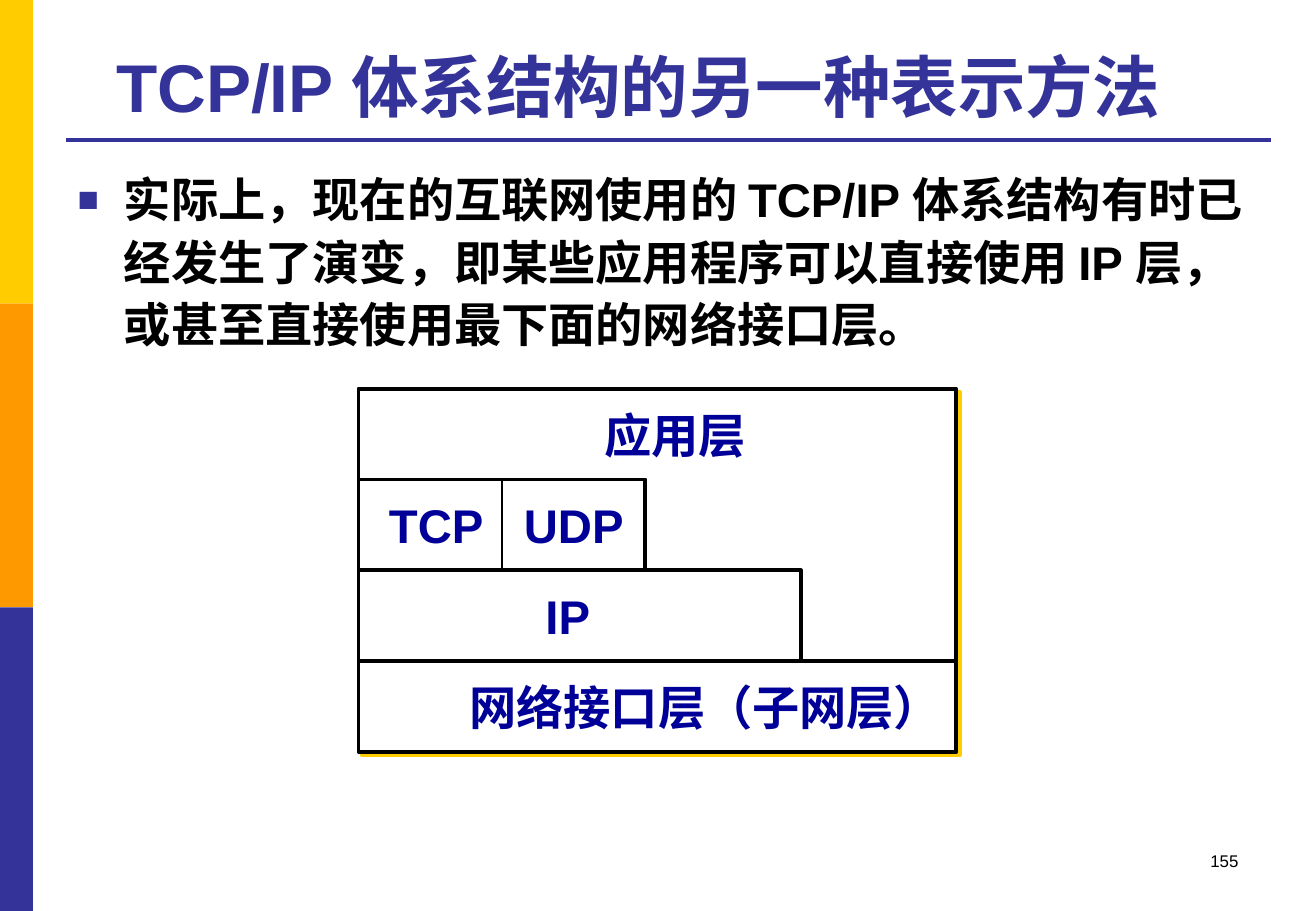
from dataclasses import dataclass

from lxml.etree import SubElement
from pptx import Presentation
from pptx.dml.color import RGBColor
from pptx.enum.shapes import MSO_CONNECTOR, MSO_SHAPE
from pptx.enum.text import MSO_ANCHOR, PP_ALIGN
from pptx.oxml.ns import qn
from pptx.util import Inches, Pt


@dataclass(frozen=True)
class Theme:
    font: str = "Arial"
    yellow: str = "FFCC00"
    orange: str = "FF9900"
    indigo: str = "333399"
    navy: str = "000099"
    black: str = "000000"
    white: str = "FFFFFF"
    title_size: float = 40
    body_size: float = 28
    number_size: float = 10
    thick: float = 2.25
    thin: float = 1.5


THEME = Theme()
WIDTH, HEIGHT = 10.83, 7.5


def add_text(slide, box, text, size, color, bold=True,
             align=PP_ALIGN.CENTER, anchor=MSO_ANCHOR.MIDDLE, inset=0.1):
    frame = slide.shapes.add_textbox(*map(Inches, box)).text_frame
    frame.word_wrap = True
    frame.vertical_anchor = anchor
    frame.margin_left = frame.margin_right = Inches(inset)
    paragraph = frame.paragraphs[0]
    paragraph.alignment = align
    run = paragraph.add_run()
    run.text = text
    run.font.name = THEME.font
    run.font.size = Pt(size)
    run.font.bold = bold
    run.font.color.rgb = RGBColor.from_string(color)
    return paragraph


def add_rectangle(slide, box, fill):
    rectangle = slide.shapes.add_shape(MSO_SHAPE.RECTANGLE, *map(Inches, box))
    rectangle.shadow.inherit = False
    rectangle.fill.solid()
    rectangle.fill.fore_color.rgb = RGBColor.from_string(fill)
    rectangle.line.fill.background()
    return rectangle


def set_line(shape, color, weight):
    shape.line.color.rgb = RGBColor.from_string(color)
    shape.line.width = Pt(weight)


def add_rule(slide, start, end, color, weight):
    rule = slide.shapes.add_connector(
        MSO_CONNECTOR.STRAIGHT, *map(Inches, (*start, *end)))
    SubElement(rule._element.spPr, qn("a:effectLst"))
    set_line(rule, color, weight)


def add_step(slide, left, top, width, height):
    builder = slide.shapes.build_freeform(Inches(left), Inches(top))
    builder.add_line_segments(
        [(Inches(left + width), Inches(top)),
         (Inches(left + width), Inches(top + height))], close=False)
    step = builder.convert_to_shape()
    step.shadow.inherit = False
    step.fill.background()
    set_line(step, THEME.black, THEME.thick)


def add_offset_shadow(shape, color):
    effects = shape._element.spPr.find(qn("a:effectLst"))
    shadow = SubElement(effects, qn("a:outerShdw"), dist=str(Pt(2.8)),
                        dir=str(45 * 60000), algn="ctr", rotWithShape="0")
    SubElement(shadow, qn("a:srgbClr"), val=color)


def add_side_band(slide, box):
    left, top, width, height = box
    colors = (THEME.yellow, THEME.orange, THEME.indigo)
    part = height / len(colors)
    for index, color in enumerate(colors):
        add_rectangle(slide, (left, top + index * part, width, part), color)


def add_heading(slide, box, text):
    left, top, width, height = box
    add_text(slide, (left, top, width * 0.95, height * 0.93), text,
             THEME.title_size, THEME.indigo, anchor=MSO_ANCHOR.BOTTOM)
    base = top + height
    add_rule(slide, (left, base), (left + width, base),
             THEME.indigo, THEME.thick)


def add_body(slide, box, text):
    paragraph = add_text(slide, box, text, THEME.body_size, THEME.black,
                         align=PP_ALIGN.LEFT, anchor=MSO_ANCHOR.TOP)
    paragraph.line_spacing = 1.1
    properties = paragraph._p.get_or_add_pPr()
    indent = Inches(0.38)
    properties.set("marL", str(indent))
    properties.set("indent", str(-indent))
    bullet_color = SubElement(properties, qn("a:buClr"))
    SubElement(bullet_color, qn("a:srgbClr"), val=THEME.indigo)
    SubElement(properties, qn("a:buSzPct"), val="75000")
    SubElement(properties, qn("a:buFont"), typeface=THEME.font)
    SubElement(properties, qn("a:buChar"), char="■")


def add_layer_diagram(slide, box):
    left, top, width, height = box
    row = height / 4
    transport, internet, link = (top + row * n for n in (1, 2, 3))
    transport_width = width * 0.48
    divider = left + transport_width / 2

    stack = add_rectangle(slide, box, THEME.white)
    set_line(stack, THEME.black, THEME.thick)
    add_offset_shadow(stack, THEME.yellow)
    add_rule(slide, (left, link), (left + width, link),
             THEME.black, THEME.thick)
    add_step(slide, left, internet, width * 0.74, row)
    add_step(slide, left, transport, transport_width, row)
    add_rule(slide, (divider, transport), (divider, internet),
             THEME.black, THEME.thin)

    labels = [("应用层", 0, 0.53, 0.4), ("TCP", 1, 0.13, 0.22),
              ("UDP", 1, 0.36, 0.22), ("IP", 2, 0.35, 0.2),
              ("网络接口层（子网层）", 3, 0.58, 0.84)]
    for text, level, center, share in labels:
        label_box = (left + width * (center - share / 2),
                     top + row * level, width * share, row)
        add_text(slide, label_box, text, THEME.body_size, THEME.navy, inset=0)


def main():
    presentation = Presentation()
    presentation.slide_width = Inches(WIDTH)
    presentation.slide_height = Inches(HEIGHT)
    slide = presentation.slides.add_slide(presentation.slide_layouts[6])

    margin = WIDTH * 0.05
    add_side_band(slide, (0, 0, WIDTH * 0.025, HEIGHT))
    add_heading(slide, (margin, 0.21, 9.92, 0.94),
                "TCP/IP 体系结构的另一种表示方法")
    add_body(slide, (margin, 1.31, 9.91, 1.75),
             "实际上，现在的互联网使用的 TCP/IP 体系结构有时已经发生了演变，"
             "即某些应用程序可以直接使用 IP 层，或甚至直接使用最下面的网络接口层。")
    add_layer_diagram(slide, (2.95, 3.2, 4.92, 2.99))
    add_text(slide, (7.76, 6.95, 2.53, 0.5), "155", THEME.number_size,
             THEME.black, bold=False, align=PP_ALIGN.RIGHT,
             anchor=MSO_ANCHOR.TOP)
    presentation.save("out.pptx")


if __name__ == "__main__":
    main()
